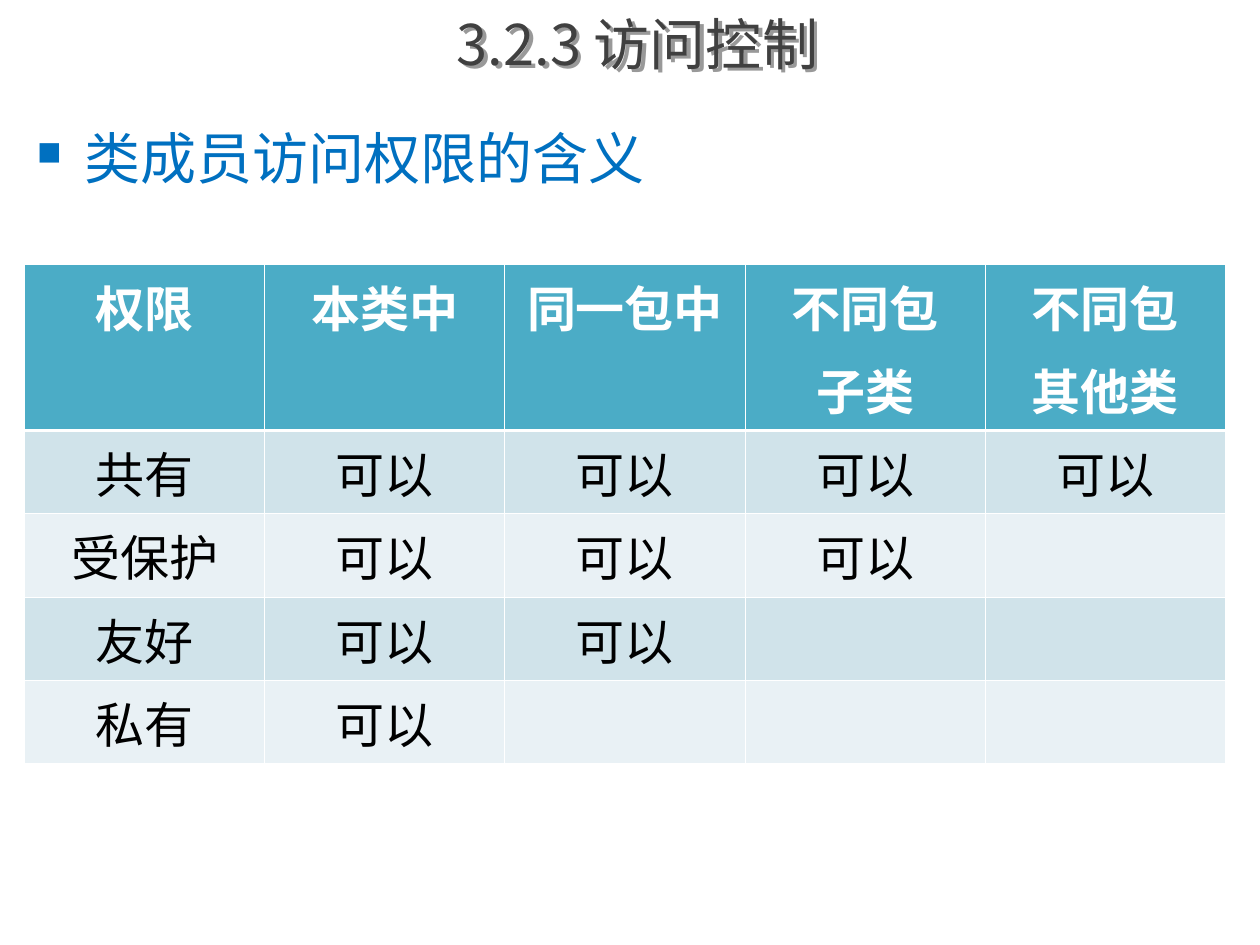
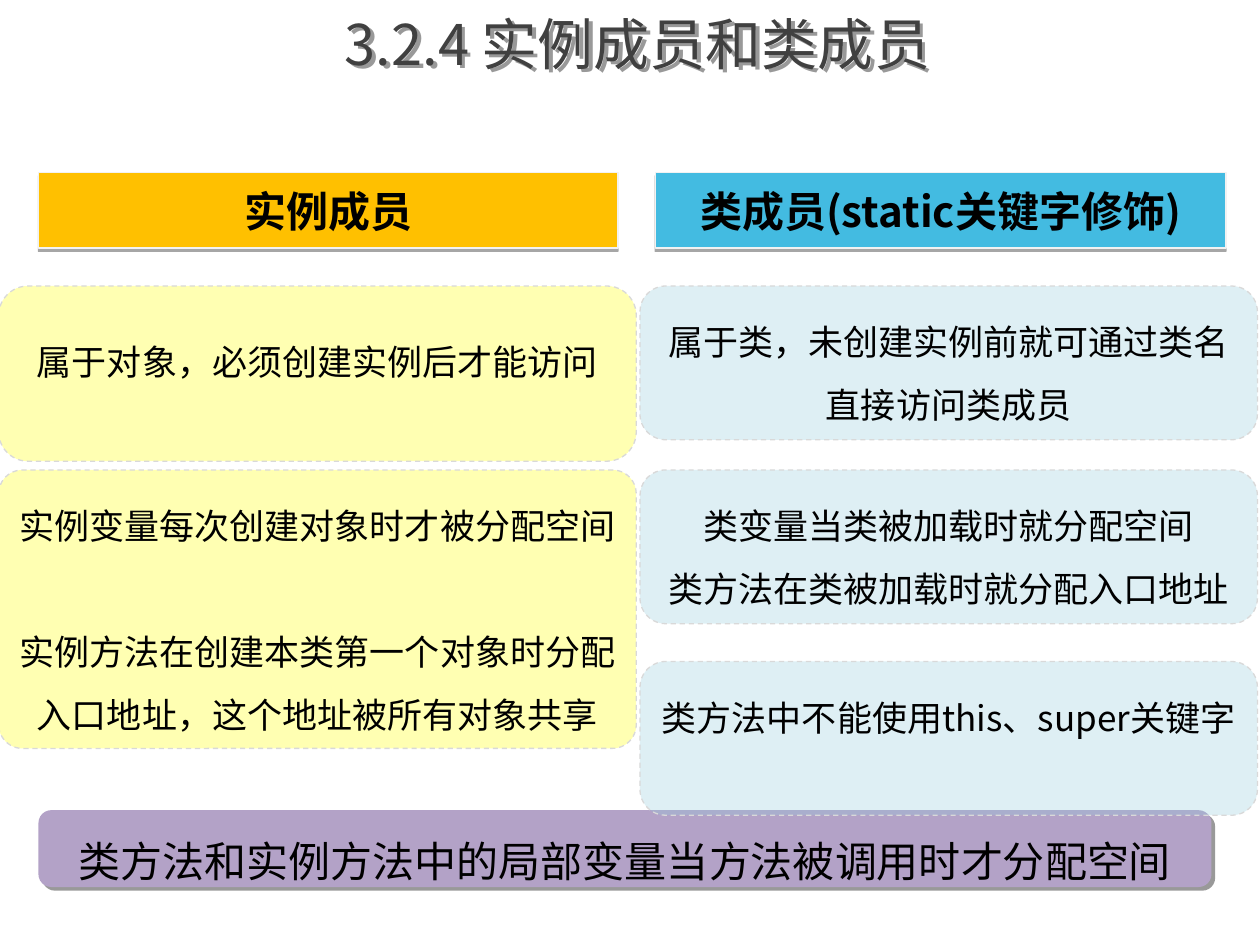
from dataclasses import dataclass
from typing import Any, Optional

from lxml.etree import SubElement
from pptx import Presentation
from pptx.dml.color import RGBColor
from pptx.enum.dml import MSO_LINE
from pptx.enum.shapes import MSO_SHAPE
from pptx.enum.text import MSO_ANCHOR, PP_ALIGN
from pptx.oxml.ns import qn
from pptx.util import Emu, Inches, Pt

COLOURS = {
    "title": "404040", "heading": "0070C0", "text": "000000", "white": "FFFFFF",
    "table_head": "4BACC6", "band_dark": "D0E3EA", "band_light": "E9F1F5",
    "instance": "FFC000", "class": "43BBE1", "instance_note": "FFFF00",
    "class_note": "93CDDD", "summary": "B3A2C7",
    "banner_edge": "F2F2F2", "note_edge": "D9D9D9",
}
CJK_FONT = "Noto Sans CJK SC"
LATIN_FONT = "Karla"
BULLET_FONT, SQUARE_BULLET = "Wingdings", "n"

# The slide is a grid of 100 columns by 75 rows
SLIDE_WIDTH, SLIDE_HEIGHT = Inches(10), Inches(7.5)
COLUMN, ROW = SLIDE_WIDTH / 100, SLIDE_HEIGHT / 75


@dataclass(frozen=True)
class Area:
    left: float
    top: float
    width: float
    height: float

    def lengths(self) -> tuple[Emu, Emu, Emu, Emu]:
        return (Emu(round(self.left * COLUMN)), Emu(round(self.top * ROW)),
                Emu(round(self.width * COLUMN)), Emu(round(self.height * ROW)))


@dataclass(frozen=True)
class Shadow:
    opacity: int
    distance: float
    angle: int


@dataclass(frozen=True)
class TextStyle:
    size: float
    colour: str = "text"
    bold: bool = False
    font: str = CJK_FONT
    align: Optional[PP_ALIGN] = PP_ALIGN.CENTER
    line_spacing: Any = None
    gap: float = 0


@dataclass(frozen=True)
class BoxStyle:
    geometry: MSO_SHAPE
    text: TextStyle
    anchor: MSO_ANCHOR = MSO_ANCHOR.MIDDLE
    edge: Optional[str] = None
    dashed: bool = False
    opacity: int = 100
    shadow: Optional[Shadow] = None
    wrap: bool = True


@dataclass(frozen=True)
class Box:
    area: Area
    fill: str
    style: BoxStyle
    paragraphs: tuple[str, ...]
    corner: float = 0.167
    inset_top: float = 0.05


# Styles
TITLE_TEXT = TextStyle(32, "title")
HEADING_TEXT = TextStyle(32, "heading", font=LATIN_FONT, align=PP_ALIGN.LEFT, line_spacing=0.9)
HEAD_CELL_TEXT = TextStyle(28, "white", bold=True, gap=7)
BODY_CELL_TEXT = TextStyle(28)
TITLE_SHADOW = Shadow(40, 3, 45)
BANNER = BoxStyle(MSO_SHAPE.RECTANGLE, TextStyle(24, bold=True), edge="banner_edge",
                  shadow=Shadow(35, 1.8, 90))
NOTE = BoxStyle(MSO_SHAPE.ROUNDED_RECTANGLE, TextStyle(20, line_spacing=Pt(36), gap=0),
                anchor=MSO_ANCHOR.TOP, edge="note_edge", dashed=True, opacity=30)
SPACED_NOTE = BoxStyle(MSO_SHAPE.ROUNDED_RECTANGLE,
                       TextStyle(20, line_spacing=Pt(36), gap=36),
                       anchor=MSO_ANCHOR.TOP, edge="note_edge", dashed=True, opacity=30)
SUMMARY = BoxStyle(MSO_SHAPE.ROUNDED_RECTANGLE, TextStyle(24, line_spacing=Pt(43.2)),
                   shadow=Shadow(40, 3, 45), wrap=False)

# Content
TITLE_AREA = Area(7.2, 0, 86.8, 6.8)
HEADING_AREA = Area(1.95, 9.9, 96.1, 63.8)
HEAD_ROW, BODY_ROW = 13.17, 6.61
ALLOWED = "可以"
TABLE_HEAD = ("权限", "本类中", "同一包中", "不同包\n子类", "不同包\n其他类")
ACCESS_COUNTS = {"共有": 4, "受保护": 3, "友好": 2, "私有": 1}
TABLE_AREA = Area(1.95, 21, 95.3, HEAD_ROW + BODY_ROW * len(ACCESS_COUNTS))

INSTANCE_LEFT, INSTANCE_WIDTH = -0.1, 50.6
CLASS_LEFT, CLASS_WIDTH, CLASS_HEIGHT = 50.8, 49, 12.2
BANNER_TOP, BANNER_HEIGHT = 13.7, 6
NOTE_TOPS = (22.7, 37.3, 52.5)
CLASS_NOTES = (
    ("属于类，未创建实例前就可通过类名直接访问类成员",),
    ("类变量当类被加载时就分配空间", "类方法在类被加载时就分配入口地址"),
    ("类方法中不能使用this、super关键字",),
)
MEMBER_BOXES = (
    Box(Area(3.05, BANNER_TOP, 46, BANNER_HEIGHT), "instance", BANNER, ("实例成员",)),
    Box(Area(52, BANNER_TOP, 45.3, BANNER_HEIGHT), "class", BANNER,
        ("类成员(static关键字修饰)",)),
    Box(Area(INSTANCE_LEFT, NOTE_TOPS[0], INSTANCE_WIDTH, 13.9), "instance_note", NOTE,
        ("属于对象，必须创建实例后才能访问",), inset_top=0.2),
    Box(Area(INSTANCE_LEFT, NOTE_TOPS[1], INSTANCE_WIDTH, 22.1), "instance_note", SPACED_NOTE,
        ("实例变量每次创建对象时才被分配空间",
         "实例方法在创建本类第一个对象时分配入口地址，这个地址被所有对象共享"),
        corner=0.085),
    Box(Area(3.05, 64.3, 93.1, 6.1), "summary", SUMMARY,
        ("类方法和实例方法中的局部变量当方法被调用时才分配空间",)),
    *(Box(Area(CLASS_LEFT, top, CLASS_WIDTH, CLASS_HEIGHT), "class_note", NOTE, note)
      for top, note in zip(NOTE_TOPS, CLASS_NOTES)),
)


def rgb(name: str) -> RGBColor:
    return RGBColor.from_string(COLOURS[name])


def set_values(target: Any, values: dict[str, Any]) -> None:
    for name, value in values.items():
        setattr(target, name, value)


def write_paragraphs(frame: Any, texts: tuple[str, ...], style: TextStyle) -> None:
    for index, text in enumerate(texts):
        paragraph = frame.add_paragraph() if index else frame.paragraphs[0]
        set_values(paragraph, {"alignment": style.align, "line_spacing": style.line_spacing})
        if index and style.gap:
            paragraph.space_before = Pt(style.gap)
        run = paragraph.add_run()
        run.text = text
        set_values(run.font, {"size": Pt(style.size), "bold": style.bold, "name": style.font})
        run.font.color.rgb = rgb(style.colour)
        SubElement(run.font._element, qn("a:ea"), typeface=style.font)


def add_shadow(shape: Any, shadow: Optional[Shadow]) -> None:
    shape.shadow.inherit = False
    if shadow is None:
        return
    effects = shape._element.spPr.find(qn("a:effectLst"))
    outer = SubElement(effects, qn("a:outerShdw"), blurRad="0", dist=str(Pt(shadow.distance)),
                       dir=str(shadow.angle * 60000), algn="tl", rotWithShape="0")
    colour = SubElement(outer, qn("a:srgbClr"), val=COLOURS["text"])
    SubElement(colour, qn("a:alpha"), val=str(shadow.opacity * 1000))


def add_title(slide: Any, text: str) -> None:
    shape = slide.shapes.add_textbox(*TITLE_AREA.lengths())
    set_values(shape.text_frame, {"word_wrap": True, "vertical_anchor": MSO_ANCHOR.MIDDLE})
    add_shadow(shape, TITLE_SHADOW)
    write_paragraphs(shape.text_frame, (text,), TITLE_TEXT)


def add_heading(slide: Any, text: str) -> None:
    frame = slide.shapes.add_textbox(*HEADING_AREA.lengths()).text_frame
    frame.word_wrap = True
    write_paragraphs(frame, (text,), HEADING_TEXT)
    properties = frame.paragraphs[0]._p.get_or_add_pPr()
    properties.set("marL", str(Inches(0.38)))
    properties.set("indent", str(-Inches(0.38)))
    colour = SubElement(properties, qn("a:buClr"))
    SubElement(colour, qn("a:srgbClr"), val=COLOURS["heading"])
    SubElement(properties, qn("a:buSzPct"), val="60000")
    SubElement(properties, qn("a:buFont"), typeface=BULLET_FONT, charset="2")
    SubElement(properties, qn("a:buChar"), char=SQUARE_BULLET)


def set_borders(cell: Any, widths: dict[str, float]) -> None:
    properties = cell._tc.get_or_add_tcPr()
    for index, (side, width) in enumerate(widths.items()):
        line = SubElement(properties, qn(f"a:{side}"), w=str(Pt(width)))
        fill = SubElement(line, qn("a:solidFill"))
        SubElement(fill, qn("a:srgbClr"), val=COLOURS["white"])
        properties.insert(index, line)


def add_access_table(slide: Any) -> None:
    width = len(TABLE_HEAD)
    rows = [TABLE_HEAD]
    for level, count in ACCESS_COUNTS.items():
        rows.append((level, *[ALLOWED] * count, *[""] * (width - 1 - count)))
    table = slide.shapes.add_table(len(rows), width, *TABLE_AREA.lengths()).table
    for column in table.columns:
        column.width = Emu(round(TABLE_AREA.width / width * COLUMN))
    for row_index, texts in enumerate(rows):
        is_head = row_index == 0
        table.rows[row_index].height = Emu(round((HEAD_ROW if is_head else BODY_ROW) * ROW))
        band = "table_head" if is_head else ("band_light", "band_dark")[row_index % 2]
        borders = {"lnL": 0.45, "lnR": 0.45, "lnT": 1.47 if row_index == 1 else 0.45,
                   "lnB": 1.47 if is_head else 0.45}
        for column_index, text in enumerate(texts):
            cell = table.cell(row_index, column_index)
            cell.fill.solid()
            cell.fill.fore_color.rgb = rgb(band)
            set_borders(cell, borders)
            if text:
                write_paragraphs(cell.text_frame, tuple(text.split("\n")),
                                 HEAD_CELL_TEXT if is_head else BODY_CELL_TEXT)


def add_box(slide: Any, box: Box) -> None:
    style = box.style
    shape = slide.shapes.add_shape(style.geometry, *box.area.lengths())
    if style.geometry == MSO_SHAPE.ROUNDED_RECTANGLE:
        shape.adjustments[0] = box.corner
    shape.fill.solid()
    shape.fill.fore_color.rgb = rgb(box.fill)
    if style.opacity < 100:
        colour = shape._element.spPr.find(qn("a:solidFill")).find(qn("a:srgbClr"))
        SubElement(colour, qn("a:alpha"), val=str(style.opacity * 1000))
    if style.edge:
        shape.line.color.rgb = rgb(style.edge)
        shape.line.width = Pt(0.75)
        if style.dashed:
            shape.line.dash_style = MSO_LINE.DASH
    else:
        shape.line.fill.background()
    add_shadow(shape, style.shadow)
    set_values(shape.text_frame, {
        "word_wrap": style.wrap, "vertical_anchor": style.anchor,
        "margin_left": Inches(0.1), "margin_right": Inches(0.1),
        "margin_top": Inches(box.inset_top), "margin_bottom": Inches(0.05),
    })
    write_paragraphs(shape.text_frame, box.paragraphs, style.text)


def main() -> None:
    presentation = Presentation()
    set_values(presentation, {"slide_width": SLIDE_WIDTH, "slide_height": SLIDE_HEIGHT})
    blank = presentation.slide_layouts[6]

    # Access control
    slide = presentation.slides.add_slide(blank)
    add_title(slide, "3.2.3 访问控制")
    add_heading(slide, "类成员访问权限的含义")
    add_access_table(slide)

    # Instance members and class members
    slide = presentation.slides.add_slide(blank)
    add_title(slide, "3.2.4 实例成员和类成员")
    for box in MEMBER_BOXES:
        add_box(slide, box)

    presentation.save("out.pptx")


if __name__ == "__main__":
    main()
